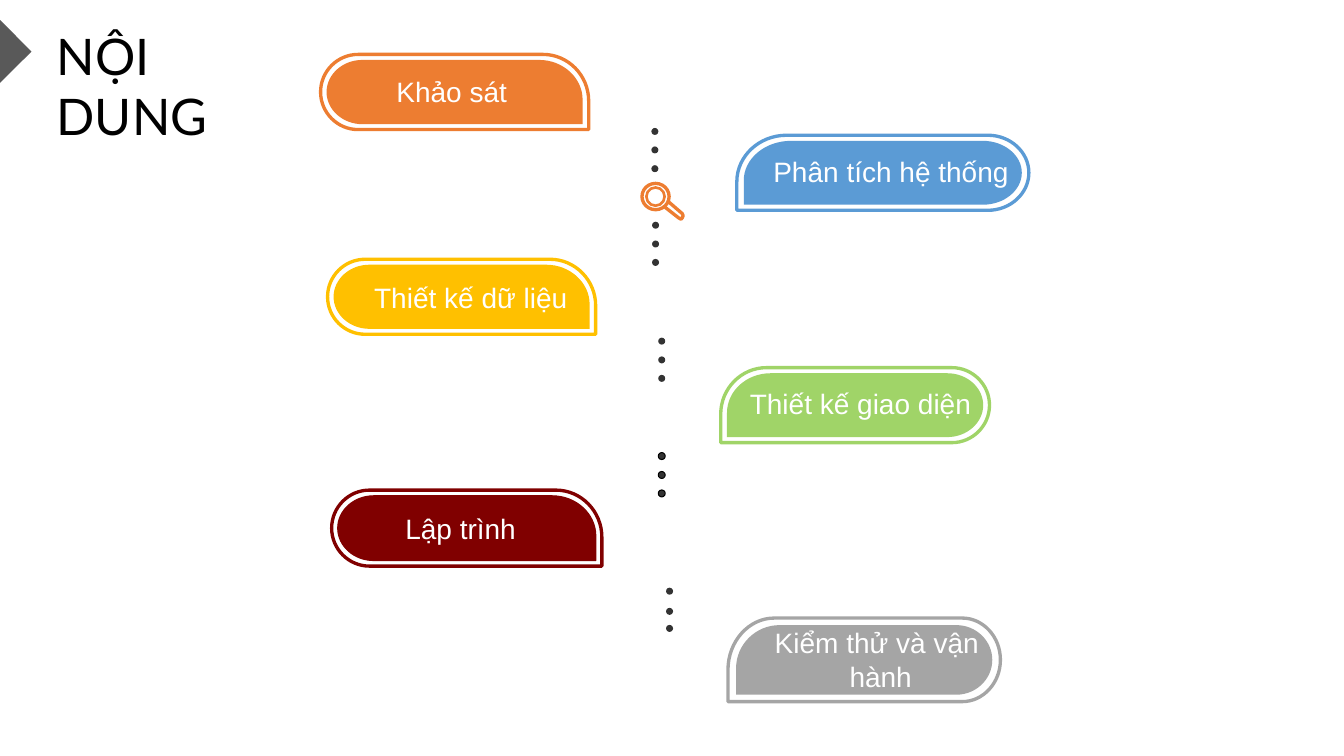
from pptx import Presentation
from pptx.dml.color import RGBColor
from pptx.enum import shapes as kinds, text as modes
from pptx.oxml.ns import qn
from pptx.util import Pt

ORANGE = RGBColor(0xED, 0x7D, 0x31)
BLUE = RGBColor(0x5B, 0x9B, 0xD5)
GOLD = RGBColor(0xFF, 0xC0, 0x00)
GREEN = RGBColor(0xA0, 0xD4, 0x68)
MAROON = RGBColor(0x80, 0x00, 0x00)
GRAY = RGBColor(0xA5, 0xA5, 0xA5)
DARK = RGBColor(0x59, 0x59, 0x59)
DOT = RGBColor(0x33, 0x33, 0x33)
BLACK = RGBColor(0, 0, 0)
WHITE = RGBColor(255, 255, 255)

TITLE = "NỘI DUNG"
TOPICS = [
    (["Khảo sát"], ORANGE, False, (229, 38.9, 191.5, 53.7), (276, 49.7, 95), (4.3, 3.9), 0),
    (["Phân tích hệ thống"], BLUE, True, (526.3, 96.6, 208.6, 53.6), (545.3, 106.8, 185), (5, 4), 0),
    (["Thiết kế dữ liệu"], GOLD, False, (234, 185.2, 191.5, 53.6), (260.2, 196.8, 155.5), (4.3, 3.9), 0),
    (["Thiết kế giao diện"], GREEN, True, (514.8, 262.6, 192, 53.6), (528.5, 272.2, 175.7), (4.5, 4), 0),
    (["Lập trình"], MAROON, False, (236.9, 350.1, 193, 54.3), (282.4, 361.7, 94.3), (4.3, 4), 0.75),
    (["Kiểm thử và vận", " hành"], GRAY, True, (520, 441.5, 194.6, 59.7), (545, 443.5, 162.7), (5.8, 5), 0),
]
TRAILS = [
    (465.3, (91.4, 104.6, 118), 0),
    (465.8, (158.4, 171.8, 185), 0),
    (470.2, (241.2, 254.6, 267.8), 0),
    (470.2, (323.3, 336.8, 350), 0.75),
    (475.8, (419.8, 434.2, 446.4), 0),
]
RINGS = [((458.6, 131, 19.4, 18.8), 2.38), ((461.7, 133.9, 13, 13), 1.88)]
HANDLE = [
    [(477.4, 144)],
    [(487.4, 152.6)],
    [(488.2, 153.4), (488.2, 154.8), (487.4, 155.5)],
    [(487.4, 157), (486, 157), (484.6, 155.5)],
    [(474.5, 147.6)],
]
ROUND = 0.55

deck = Presentation()
deck.slide_width, deck.slide_height = Pt(960), Pt(540)
slide = deck.slides.add_slide(deck.slide_layouts[6])
parts = slide.shapes


def paint(shape, fill=None, line=None, width=0):
    shape.shadow.inherit = False
    if fill is None:
        shape.fill.background()
    else:
        shape.fill.solid()
        shape.fill.fore_color.rgb = fill
    if width:
        shape.line.color.rgb = line
        shape.line.width = Pt(width)
    else:
        shape.line.fill.background()


def trace(legs, close):
    spots = [(Pt(x), Pt(y)) for leg in legs for x, y in leg]
    pen = parts.build_freeform(*spots[0])
    pen.add_line_segments(spots[1:], close=close)
    shape = pen.convert_to_shape()
    steps = iter(list(shape.element.iter(qn("a:lnTo"))))
    for leg in legs[1:]:
        curve, *rest = [next(steps) for _ in leg]
        if rest:
            curve.tag = qn("a:cubicBezTo")
        for step in rest:
            curve.append(step[0])
            step.getparent().remove(step)
    return shape


def bend(start, corner, stop):
    pulls = [tuple(a + ROUND * (c - a) for a, c in zip(tip, corner)) for tip in (start, stop)]
    return [*pulls, stop]


def petal(x, y, w, h, flip):
    left, right = x + 0.14 * w, x + 0.83 * w
    mid, drop, base = y + h / 2, y + 0.62 * h, y + h
    legs = [
        [(x + w, base)],
        [(left, base)],
        bend((left, base), (x, base), (x, mid)),
        bend((x, mid), (x, y), (left, y)),
        [(right, y)],
        bend((right, y), (x + w, y), (x + w, drop)),
    ]
    if flip:
        legs = [[(2 * x + w - px, py) for px, py in leg] for leg in legs]
    return trace(legs, True)


def oval(*box):
    return parts.add_shape(kinds.MSO_SHAPE.OVAL, *map(Pt, box))


def write(shape, lines, size, face, color, align, wrap):
    frame = shape.text_frame
    frame.word_wrap = wrap
    frame.text = "\n".join(lines)
    for para in frame.paragraphs:
        para.alignment = align
        para.font.size = Pt(size)
        para.font.name = face
        para.font.color.rgb = color


title = parts.add_textbox(Pt(33.4), Pt(14.2), Pt(171.4), Pt(51))
write(title, [TITLE], 36, "Lato", BLACK, modes.PP_ALIGN.JUSTIFY, True)
arrow = parts.add_shape(kinds.MSO_SHAPE.RIGHT_TRIANGLE, Pt(-15.8), Pt(20.9), Pt(31.7), Pt(31.7))
arrow.rotation = 225.2
paint(arrow, DARK)

for lines, color, flip, box, label, inset, edge in TOPICS:
    x, y, w, h = box
    dx, dy = inset
    paint(petal(x + dx, y + dy, w - 2 * dx, h - 2 * dy, flip), color, color, edge)
    paint(petal(*box, flip), None, color, 2.38)
    area = [Pt(side) for side in (*label, 7.4 + 24 * len(lines))]
    if edge:
        note = parts.add_shape(kinds.MSO_SHAPE.RECTANGLE, *area)
        paint(note, None, color, edge)
    else:
        note = parts.add_textbox(*area)
    align = modes.PP_ALIGN.CENTER if len(lines) > 1 else modes.PP_ALIGN.LEFT
    write(note, lines, 20, "Arial", WHITE, align, False)

for x, tops, edge in TRAILS:
    for y in tops:
        paint(oval(x, y, 5, 5), DOT, BLACK, edge)

for box, width in RINGS:
    paint(oval(*box), None, ORANGE, width)
paint(trace(HANDLE, False), None, ORANGE, 2.38)

deck.save("out.pptx")
